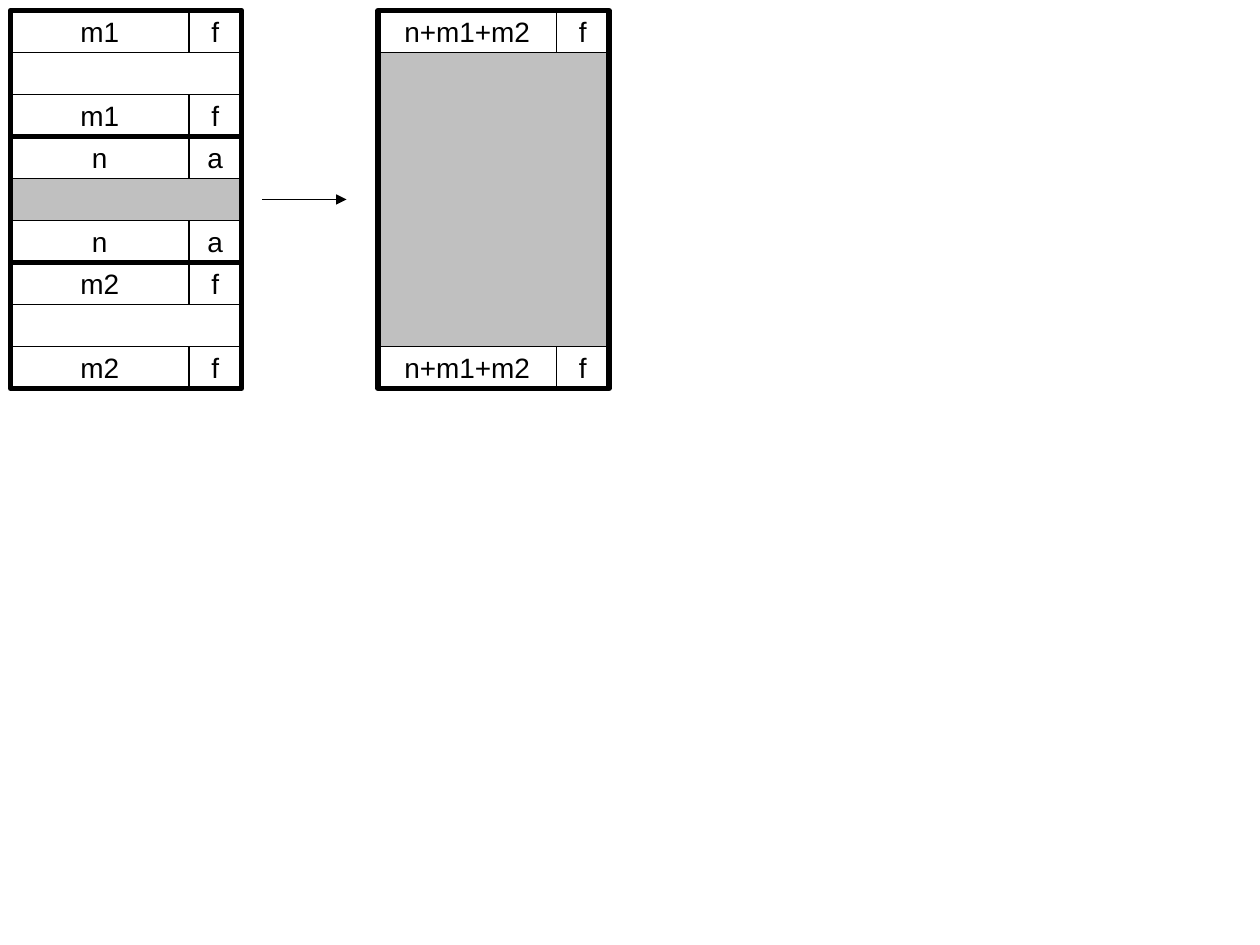
from lxml.etree import SubElement
from pptx import Presentation
from pptx.dml.color import RGBColor
from pptx.enum.shapes import MSO_CONNECTOR, MSO_SHAPE
from pptx.enum.text import MSO_ANCHOR, PP_ALIGN
from pptx.oxml.ns import qn
from pptx.util import Pt

BLACK = RGBColor(0, 0, 0)
WHITE = RGBColor(255, 255, 255)
GRAY = RGBColor(192, 192, 192)

ROW = 24
SIZE = 102
FLAG = 30
WIDTH = SIZE + FLAG

deck = Presentation()
deck.slide_width, deck.slide_height = Pt(720), Pt(540)
slide = deck.slides.add_slide(deck.slide_layouts[6])


def add_box(left, top, width, height, fill=None, text="", line=1):
    box = slide.shapes.add_shape(
        MSO_SHAPE.RECTANGLE, Pt(left), Pt(top), Pt(width), Pt(height))
    box.shadow.inherit = False
    if fill is None:
        box.fill.background()
    else:
        box.fill.solid()
        box.fill.fore_color.rgb = fill
    box.line.color.rgb = BLACK
    box.line.width = Pt(line)
    if text:
        frame = box.text_frame
        frame.word_wrap = False
        frame.vertical_anchor = MSO_ANCHOR.MIDDLE
        para = frame.paragraphs[0]
        para.text = text
        para.alignment = PP_ALIGN.CENTER
        para.font.name = "Arial"
        para.font.size = Pt(16)
        para.font.color.rgb = BLACK


def add_block(left, top, rows, size, flag, fill):
    for y in (top, top + (rows - 1) * ROW):
        add_box(left, y, SIZE, ROW, WHITE, size)
        add_box(left + SIZE, y, FLAG, ROW, WHITE, flag)
    add_box(left, top + ROW, WIDTH, (rows - 2) * ROW, fill)
    add_box(left, top, WIDTH, rows * ROW, line=3)


blocks = [("m1", "f", WHITE), ("n", "a", GRAY), ("m2", "f", WHITE)]
for i, (size, flag, fill) in enumerate(blocks):
    add_block(6, 6 + i * 3 * ROW, 3, size, flag, fill)
add_block(216, 6, 9, "n+m1+m2", "f", GRAY)

arrow = slide.shapes.add_connector(
    MSO_CONNECTOR.STRAIGHT, Pt(150), Pt(114), Pt(198), Pt(114))
arrow.line.color.rgb = BLACK
arrow.line.width = Pt(1)
SubElement(arrow.line._get_or_add_ln(), qn("a:tailEnd"), type="triangle")
SubElement(arrow._element.spPr, qn("a:effectLst"))

deck.save("out.pptx")
